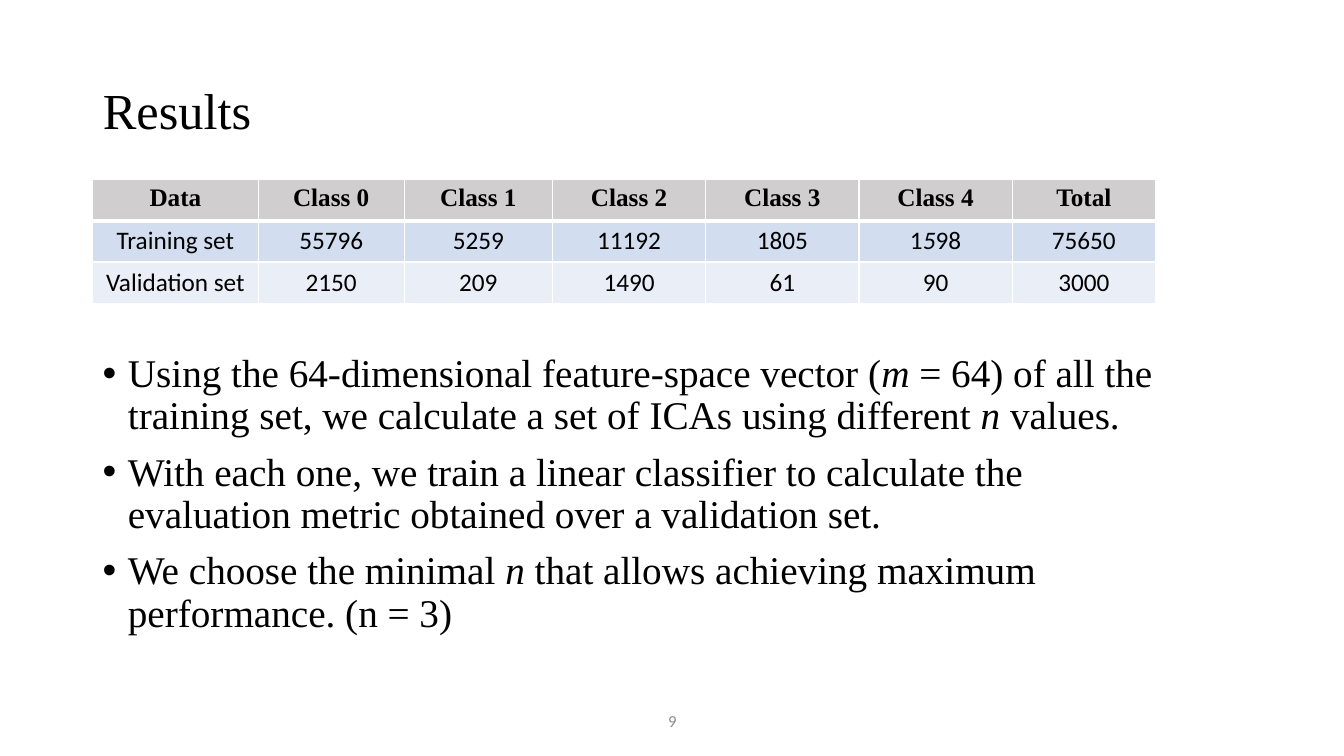
from lxml.etree import SubElement
from pptx import Presentation
from pptx.dml.color import RGBColor
from pptx.enum.text import MSO_ANCHOR, PP_ALIGN
from pptx.oxml.ns import qn
from pptx.util import Inches, Pt

BLACK = RGBColor(0x00, 0x00, 0x00)
GRAY = RGBColor(0x8C, 0x8C, 0x8C)
HEADER_FILL = RGBColor(0xD0, 0xCE, 0xCE)
TRAINING_FILL = RGBColor(0xD2, 0xDE, 0xEF)
VALIDATION_FILL = RGBColor(0xEA, 0xEF, 0xF7)
WHITE = RGBColor(0xFF, 0xFF, 0xFF)
SERIF = "Times New Roman"
SANS = "Calibri"
ROW_FILLS = [HEADER_FILL, TRAINING_FILL, VALIDATION_FILL]


def add_spans(para, text, font, size, color=BLACK, bold=False):
    for index, part in enumerate(text.split("*")):
        span = para.add_run()
        span.text = part
        span.font.name = font
        span.font.size = Pt(size)
        span.font.color.rgb = color
        span.font.bold = bold
        span.font.italic = index % 2 == 1


def add_counts_table(page, left, widths, rows):
    frame = page.shapes.add_table(
        len(rows), len(widths), Inches(left), Inches(1.78), Inches(sum(widths)), Inches(1.22)
    )
    table = frame.table
    for column, width in zip(table.columns, widths):
        column.width = Inches(width)
    for row_index, values in enumerate(rows):
        table.rows[row_index].height = Inches(0.41)
        header = row_index == 0
        edges = {"L": 1, "R": 1, "T": 3 if row_index == 1 else 1, "B": 3 if header else 1}
        for column_index, value in enumerate(values):
            cell = table.cell(row_index, column_index)
            properties = cell._tc.get_or_add_tcPr()
            for edge, width in edges.items():
                line = SubElement(properties, qn(f"a:ln{edge}"), w=str(Pt(width)))
                fill = SubElement(line, qn("a:solidFill"))
                SubElement(fill, qn("a:srgbClr"), val=str(WHITE))
            cell.fill.solid()
            cell.fill.fore_color.rgb = ROW_FILLS[row_index]
            para = cell.text_frame.paragraphs[0]
            para.alignment = PP_ALIGN.CENTER
            add_spans(para, value, SERIF if header else SANS, 18, bold=header)


deck = Presentation()
deck.slide_width = Inches(13.33)
deck.slide_height = Inches(7.5)
page = deck.slides.add_slide(deck.slide_layouts[5])

title = page.shapes.title
title.left, title.top = Inches(0.92), Inches(0.4)
title.width, title.height = Inches(11.5), Inches(1.45)
title.text_frame.vertical_anchor = MSO_ANCHOR.MIDDLE
para = title.text_frame.paragraphs[0]
para.alignment = PP_ALIGN.LEFT
para.line_spacing = 0.9
add_spans(para, "Results", SERIF, 36)

number_box = page.shapes.add_textbox(Inches(4.42), Inches(6.95), Inches(4.5), Inches(0.4))
number_box.text_frame.word_wrap = True
number_box.text_frame.vertical_anchor = MSO_ANCHOR.MIDDLE
para = number_box.text_frame.paragraphs[0]
para.alignment = PP_ALIGN.CENTER
add_spans(para, "9", SANS, 12, GRAY)

class_rows = [
    ["Data", "Class 0", "Class 1", "Class 2", "Class 3", "Class 4"],
    ["Training set", "55796", "5259", "11192", "1805", "1*5*98"],
    ["Validation set", "2150", "209", "1490", "61", "90"],
]
add_counts_table(page, 0.92, [1.64, 1.45, 1.47, 1.52, 1.52, 1.52], class_rows)
add_counts_table(page, 10.04, [1.42], [["Total"], ["75650"], ["3000"]])

bullets = [
    "Using the 64-dimensional feature-space vector (*m *= 64) of all the training set, "
    "we calculate a set of ICAs using different *n *values.",
    "With each one, we train a linear classifier to calculate the "
    "evaluation metric obtained over a validation set.",
    "We choose the minimal *n *that allows achieving maximum performance. (n = 3)",
]
body = page.shapes.add_textbox(Inches(0.92), Inches(3.46), Inches(10.89), Inches(3.49))
body.text_frame.word_wrap = True
for index, text in enumerate(bullets):
    para = body.text_frame.paragraphs[0] if index == 0 else body.text_frame.add_paragraph()
    properties = para._p.get_or_add_pPr()
    properties.set("marL", str(Inches(0.25)))
    properties.set("indent", str(-Inches(0.25)))
    SubElement(properties, qn("a:buFont"), typeface="Arial")
    SubElement(properties, qn("a:buChar"), char="•")
    para.line_spacing = 0.9
    para.space_before = Pt(10 if index else 0)
    add_spans(para, text, SERIF, 28)

deck.save("out.pptx")
